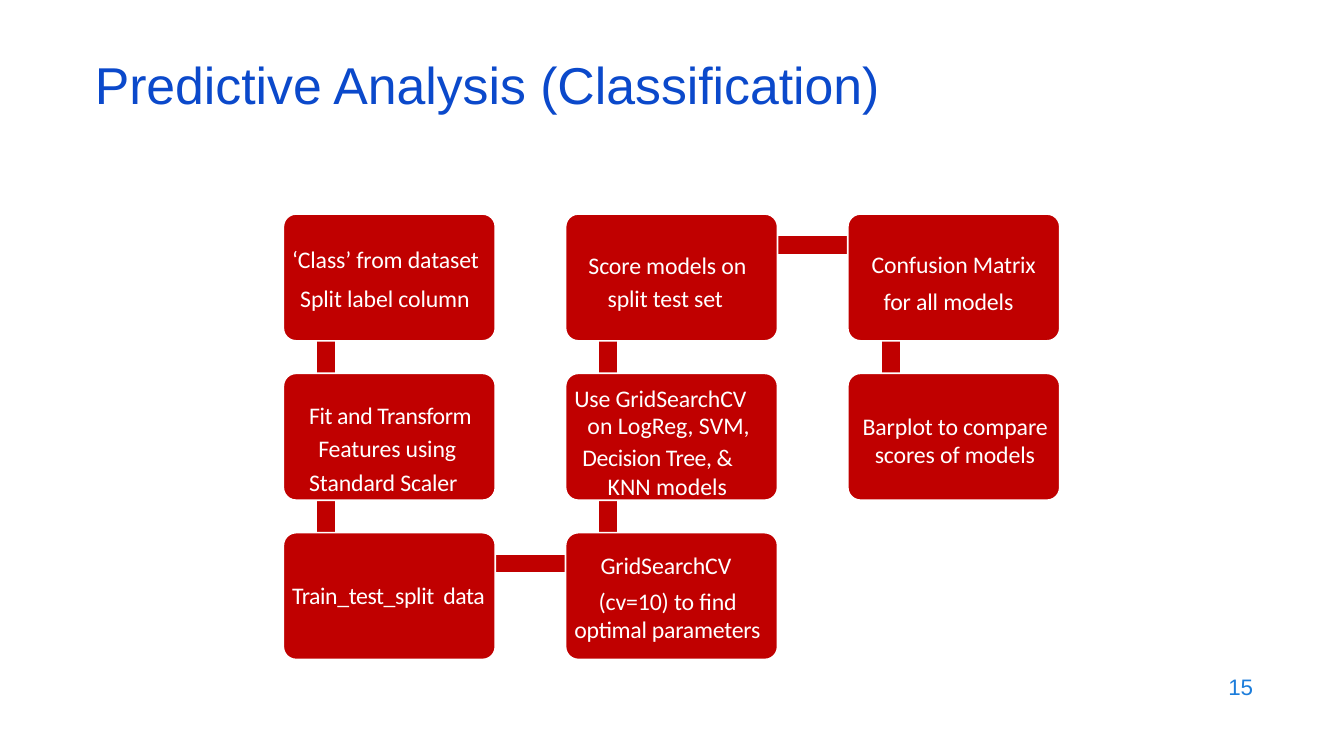
from lxml import etree
from pptx import Presentation
from pptx.dml.color import RGBColor
from pptx.enum.shapes import MSO_CONNECTOR, MSO_SHAPE
from pptx.enum.text import MSO_ANCHOR, MSO_AUTO_SIZE, PP_ALIGN
from pptx.oxml.ns import qn
from pptx.util import Pt

STRAIGHT = MSO_CONNECTOR.STRAIGHT
ROUNDED = MSO_SHAPE.ROUNDED_RECTANGLE
TOP, MIDDLE = MSO_ANCHOR.TOP, MSO_ANCHOR.MIDDLE
NO_FIT = MSO_AUTO_SIZE.NONE
LEFT, RIGHT = PP_ALIGN.LEFT, PP_ALIGN.RIGHT

RED = RGBColor(0xC0, 0x00, 0x00)
WHITE = RGBColor(0xFF, 0xFF, 0xFF)
TITLE_BLUE = RGBColor(0x0B, 0x49, 0xCB)
NUMBER_BLUE = RGBColor(0x1C, 0x7D, 0xDB)

# Grid of boxes, in points
GRID_LEFT, GRID_TOP = 202.4, 152.9
COLUMN_STEP, ROW_STEP = 201.6, 113.8
BOX_WIDTH, BOX_HEIGHT = 151.4, 90.6
BAR_X, BAR_Y = 30.6, 22  # where the bars meet inside a box
DATA_TAB = 117.4

# Steps in order of flow: column, row, top inset, lines.
# A line is text, indent, distance from the line above, letter spacing.
STEPS = [
    (0, 0, 19.4, [("‘Class’ from dataset", 3.6, None, -0.1),
                  ("Split label column", 9.4, 28.1, -0.1)]),
    (0, 1, 16.6, [("Fit and Transform", 15.8, None, -0.3),
                  ("Features using", 22.3, 23.8, -0.1),
                  ("Standard Scaler", 15.8, 24.5, -0.1)]),
    (0, 2, 31.7, [("Train_test_split\tdata", 3.6, None, -0.3)]),
    (1, 2, 10.1, [("GridSearchCV", 22.3, None, -0.1),
                  ("(cv=10) to find", 20.9, 25.9, -0.1),
                  ("optimal parameters", 3.6, 20, -0.2)]),
    (1, 1, 5, [("Use GridSearchCV", 3.6, None, -0.1),
               ("on LogReg, SVM,", 13, 19.4, 0),
               ("Decision Tree, &", 9.4, 22.3, -0.3),
               ("KNN models", 27.4, 20.9, 0)]),
    (1, 0, 23.8, [("Score models on", 13.7, None, -0.1),
                  ("split test set", 27.4, 23, -0.1)]),
    (2, 0, 23, [("Confusion Matrix", 14.4, None, -0.1),
                ("for all models", 23, 26.6, -0.1)]),
    (2, 1, 24.4, [("Barplot to compare", 7.9, None, -0.1),
                  ("scores of models", 16.6, 20, -0.1)]),
]


def cell_corner(column, row):
    return GRID_LEFT + column * COLUMN_STEP, GRID_TOP + row * ROW_STEP


def style_run(span, size, font_name, color):
    span.font.size = Pt(size)
    span.font.name = font_name
    span.font.color.rgb = color


def place(shape, left, top, width, height):
    shape.left, shape.top = Pt(left), Pt(top)
    shape.width, shape.height = Pt(width), Pt(height)


def set_title(slide, text):
    title = slide.shapes.title
    place(title, 60.5, 42.5, 828, 43.2)
    frame = title.text_frame
    frame.text = text
    frame.auto_size = NO_FIT
    frame.vertical_anchor = MIDDLE
    para = frame.paragraphs[0]
    para.alignment = LEFT
    para.line_spacing = 0.8
    style_run(para.runs[0], 37, "Arial", TITLE_BLUE)


def add_slide_number(slide, text):
    box = slide.shapes.add_textbox(Pt(686.2), Pt(474.5), Pt(216), Pt(31.7))
    frame = box.text_frame
    frame.word_wrap = True
    frame.vertical_anchor = MIDDLE
    frame.text = text
    para = frame.paragraphs[0]
    para.alignment = RIGHT
    style_run(para.runs[0], 16, "Arial", NUMBER_BLUE)


def add_bar(slide, start, end):
    (x1, y1), (x2, y2) = cell_corner(*start), cell_corner(*end)
    bar = slide.shapes.add_connector(
        STRAIGHT, Pt(x1 + BAR_X), Pt(y1 + BAR_Y), Pt(x2 + BAR_X), Pt(y2 + BAR_Y))
    bar.line.color.rgb = RED
    bar.line.width = Pt(12.75)
    properties = bar._element.find(qn("p:spPr"))
    etree.SubElement(properties, qn("a:effectLst"))


def fill_line(para, text, indent, distance, letter_spacing):
    para.text = text
    para.alignment = LEFT
    if distance:
        para.line_spacing = Pt(distance)
    properties = para._p.get_or_add_pPr()
    properties.set("marL", str(Pt(indent)))
    properties.set("indent", "0")
    if "\t" in text:
        tabs = etree.SubElement(properties, qn("a:tabLst"))
        etree.SubElement(tabs, qn("a:tab"), pos=str(Pt(DATA_TAB)), algn="l")
    for span in para.runs:
        style_run(span, 17, "Calibri", WHITE)
        span._r.get_or_add_rPr().set("spc", str(round(letter_spacing * 100)))


def add_step(slide, column, row, top_inset, lines):
    left, top = cell_corner(column, row)
    box = slide.shapes.add_shape(
        ROUNDED, Pt(left), Pt(top), Pt(BOX_WIDTH), Pt(BOX_HEIGHT))
    box.adjustments[0] = 0.1
    box.shadow.inherit = False
    box.fill.solid()
    box.fill.fore_color.rgb = RED
    box.line.color.rgb = WHITE
    box.line.width = Pt(1.2)
    frame = box.text_frame
    frame.word_wrap = True
    frame.vertical_anchor = TOP
    frame.margin_left = frame.margin_right = frame.margin_bottom = 0
    frame.margin_top = Pt(top_inset)
    for index, line in enumerate(lines):
        para = frame.add_paragraph() if index else frame.paragraphs[0]
        fill_line(para, *line)


def main():
    deck = Presentation()
    deck.slide_width, deck.slide_height = Pt(960), Pt(540)
    slide = deck.slides.add_slide(deck.slide_layouts[5])

    set_title(slide, "Predictive Analysis (Classification)")
    add_slide_number(slide, "15")

    # Bars lie behind the boxes and join each step to the next
    for step, following in zip(STEPS, STEPS[1:]):
        add_bar(slide, step[:2], following[:2])
    for step in STEPS:
        add_step(slide, *step)

    deck.save("out.pptx")


if __name__ == "__main__":
    main()
